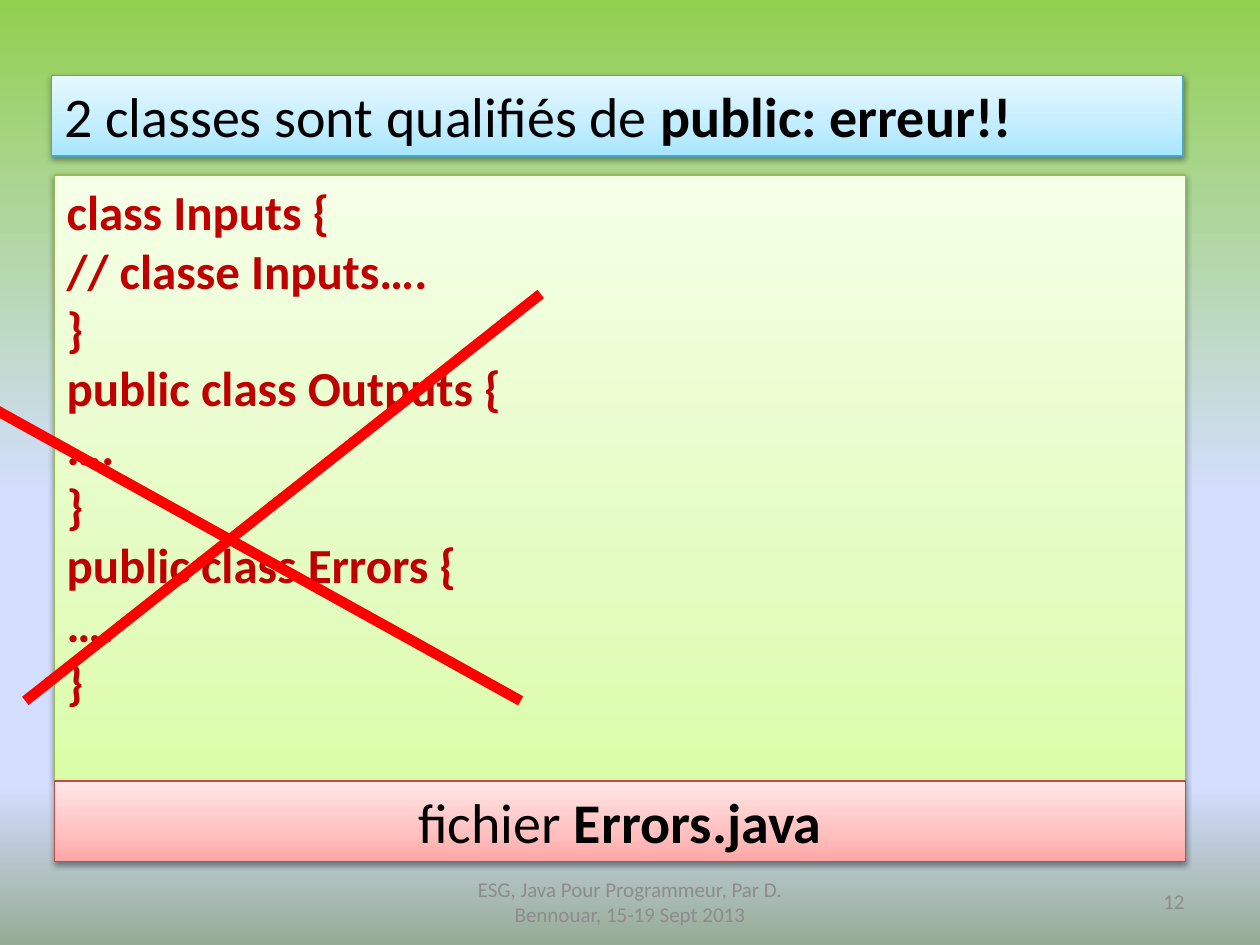
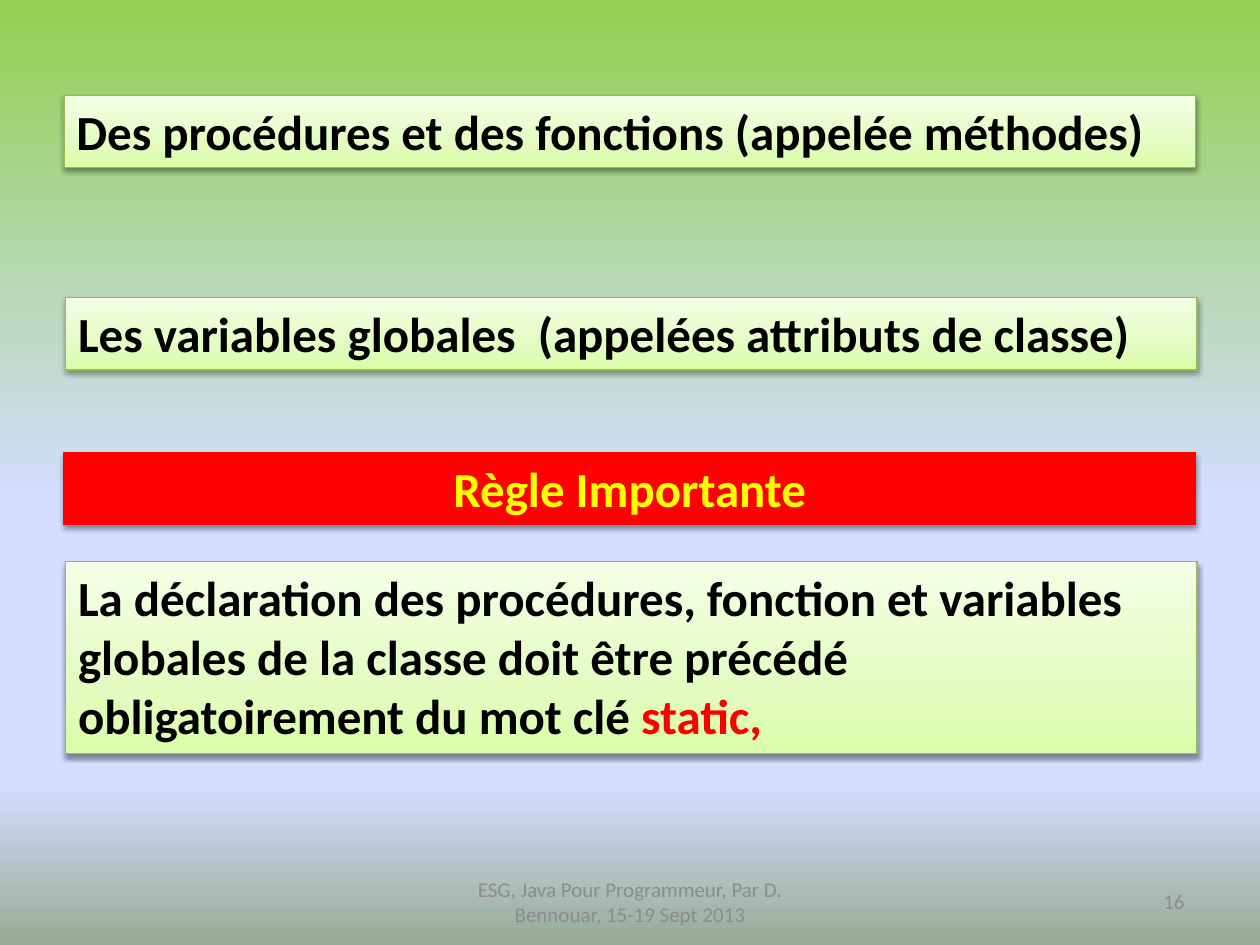
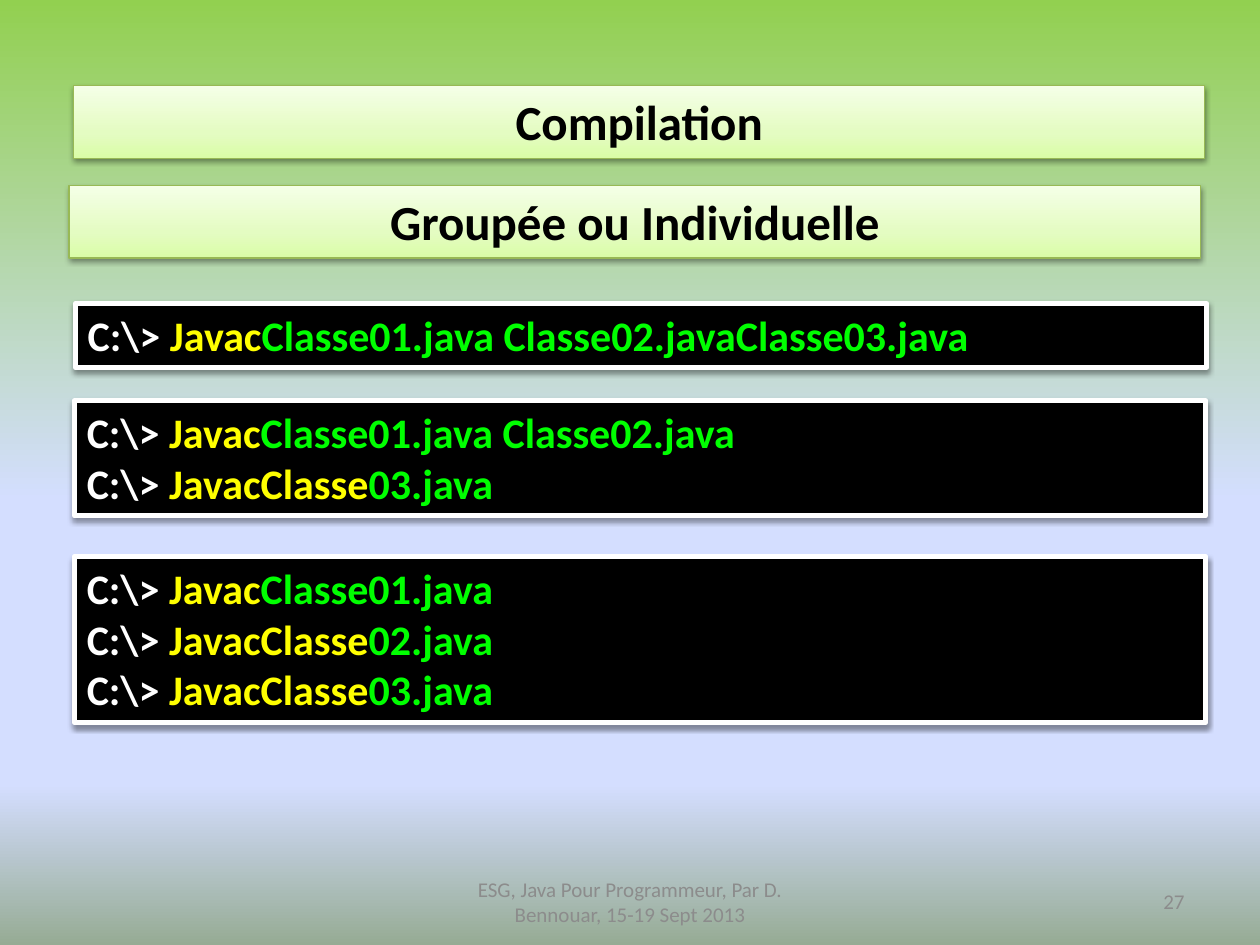
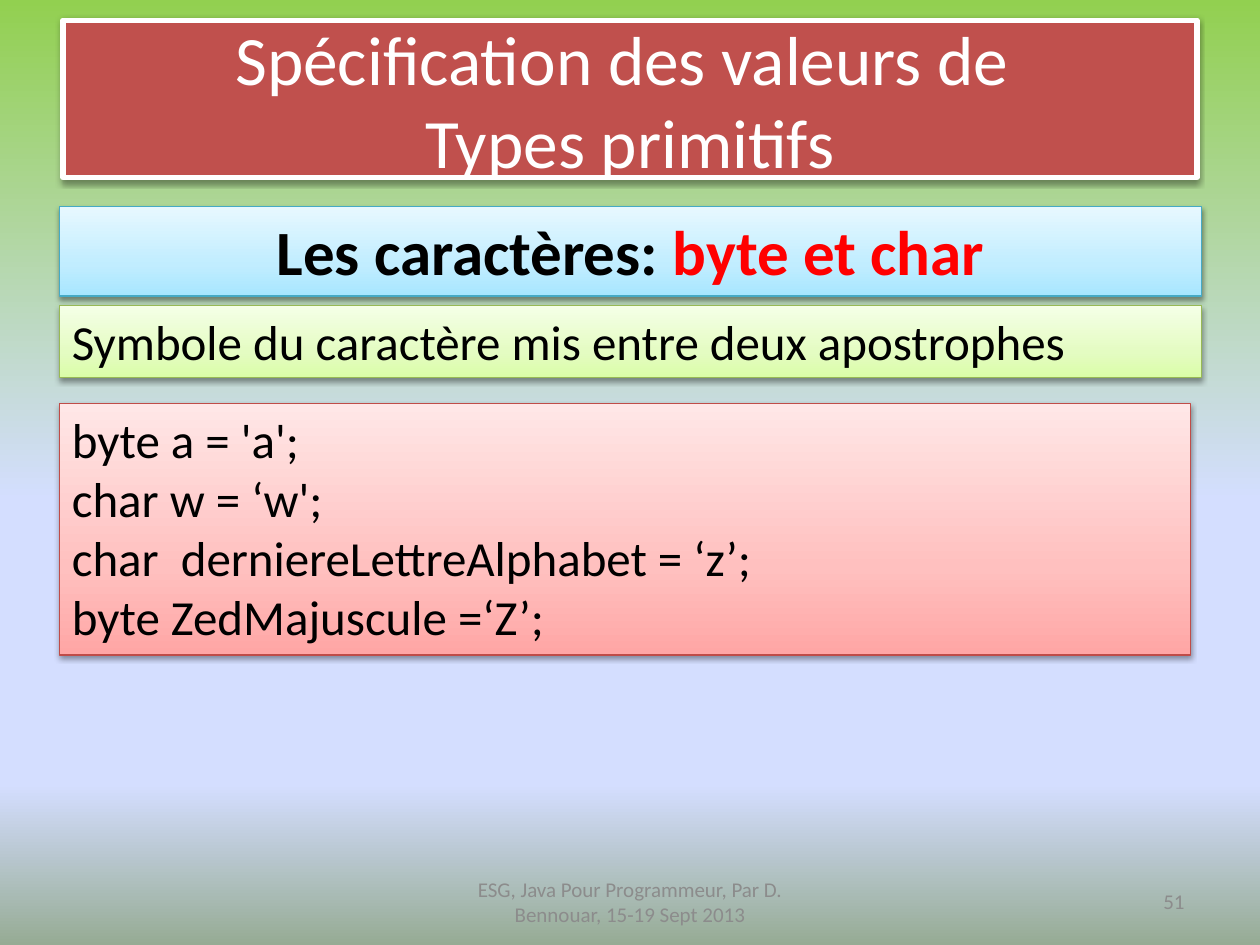
import collections

import lxml.etree
import pptx
import pptx.dml.color
import pptx.enum.shapes
import pptx.enum.text
import pptx.oxml.ns
import pptx.util

Pt = pptx.util.Pt
ALIGN = pptx.enum.text.PP_ALIGN
ANCHOR = pptx.enum.text.MSO_ANCHOR
qn = pptx.oxml.ns.qn

FONT = "Calibri"
BLACK, WHITE, GREY = "000000", "FFFFFF", "8C8C8C"
RED, DARK_RED, YELLOW, LIME = "FF0000", "C00000", "FFFF00", "00FF00"
BACKGROUND = [(0, "92D050"), (53, "D4DEFF"), (83, "D4DEFF"), (100, "96AB94")]
FOOTER = "ESG, Java Pour Programmeur, Par D. Bennouar, 15-19 Sept 2013"
PANEL_WIDTH = 646.5
LINE_BREAK = "\v"

Style = collections.namedtuple("Style", "fill line line_width")
GREEN = Style([(0, "DAFDA7"), (35, "E4FCC2"), (100, "F5FFE7")], "98B955", 0.75)
PINK = Style([(0, "FFA6A5"), (35, "FFC0BF"), (100, "FFE7E7")], "BF4C48", 0.75)
BLUE = Style([(0, "A7E6FF"), (35, "C1EDFF"), (100, "E7F8FF")], "46AAC5", 0.75)
ALERT = Style(RED, RED, 0.75)
CONSOLE = Style(BLACK, WHITE, 3)
TITLE = Style("C0504D", WHITE, 3)

Segment = collections.namedtuple("Segment", "text color bold", defaults=(BLACK, False))


class Box(collections.namedtuple("Box", "left top width height")):
    """A rectangle in points."""

    def inside(self, left, top, width, height):
        """Return a box placed relative to this one."""
        return Box(self.left + left, self.top + top, width, height)

    def lengths(self):
        """Return the four lengths for python-pptx."""
        return [Pt(value) for value in self]


def color(hex_string):
    """Turn a hex string into a colour."""
    return pptx.dml.color.RGBColor.from_string(hex_string)


def add_element(parent, tag, **attributes):
    """Append an XML element and return it."""
    values = {name: str(value) for name, value in attributes.items()}
    return lxml.etree.SubElement(parent, qn(tag), values)


def paint_gradient(fill, element, stops, angle):
    """Fill an element with a linear gradient of any number of stops."""
    fill.gradient()
    fill.gradient_angle = angle
    stop_list = next(element.iter(qn("a:gsLst")))
    for stop in list(stop_list):
        stop_list.remove(stop)
    for percent, hex_string in stops:
        stop = add_element(stop_list, "a:gs", pos=percent * 1000)
        add_element(stop, "a:srgbClr", val=hex_string)


def add_shadow(shape):
    """Give a shape the soft shadow that falls below it."""
    shape.shadow.inherit = False
    effects = shape._element.spPr.find(qn("a:effectLst"))
    shadow = add_element(effects, "a:outerShdw", blurRad=Pt(3.1), dist=Pt(1.6),
                         dir=5400000, rotWithShape=0)
    shade = add_element(shadow, "a:srgbClr", val=BLACK)
    add_element(shade, "a:alpha", val=38000)


def write(text_frame, lines, size, align, anchor):
    """Write lines of segments into a text frame."""
    text_frame.word_wrap = True
    text_frame.vertical_anchor = anchor
    for index, line in enumerate(lines):
        paragraph = text_frame.paragraphs[0] if index == 0 else text_frame.add_paragraph()
        paragraph.alignment = align
        for segment in line:
            if segment.text == LINE_BREAK:
                paragraph.add_line_break()
                continue
            run = paragraph.add_run()
            run.text = segment.text
            run.font.name = FONT
            run.font.size = Pt(size)
            run.font.bold = segment.bold
            run.font.color.rgb = color(segment.color)


def text_height(size, line_count):
    """Return the height of a panel that fits its lines."""
    return round(7.2 + 1.22 * size * line_count, 1)


def add_panel(shapes, box, style, lines, size=28, align=ALIGN.LEFT, anchor=ANCHOR.TOP):
    """Draw a shadowed rectangle with text."""
    shape = shapes.add_shape(pptx.enum.shapes.MSO_SHAPE.RECTANGLE, *box.lengths())
    if isinstance(style.fill, str):
        shape.fill.solid()
        shape.fill.fore_color.rgb = color(style.fill)
    else:
        paint_gradient(shape.fill, shape._element, style.fill, 90)
    shape.line.color.rgb = color(style.line)
    shape.line.width = Pt(style.line_width)
    add_shadow(shape)
    write(shape.text_frame, lines, size, align, anchor)


def add_footer(slide, box, number):
    """Write the footer and the slide number."""
    parts = [(FOOTER, box.inside(246, 0, 228, 29), ALIGN.CENTER),
             (str(number), box.inside(516, 0, 168, 29), ALIGN.RIGHT)]
    for text, place, align in parts:
        text_box = slide.shapes.add_textbox(*place.lengths())
        write(text_box.text_frame, [[Segment(text, GREY)]], 12, align, ANCHOR.MIDDLE)


def add_cross(slide, box):
    """Cross out the code with two thick lines."""
    group = slide.shapes.add_group_shape()
    for start_x, start_y, end_x, end_y in [(329, 0, 34.5, 232.5), (317.5, 232.5, 0, 56.5)]:
        line = group.shapes.add_connector(
            pptx.enum.shapes.MSO_CONNECTOR.STRAIGHT,
            Pt(box.left + start_x), Pt(box.top + start_y),
            Pt(box.left + end_x), Pt(box.top + end_y))
        line.line.color.rgb = color(RED)
        line.line.width = Pt(6)
        add_element(line._element.spPr, "a:effectLst")


def add_source_file(slide, box):
    """Draw the code panel with its file name below."""
    code = ["class Inputs {", "// classe Inputs….", "}",
            "public class Outputs {", "….", "}",
            "public class Errors {", "….", "}"]
    shapes = slide.shapes.add_group_shape().shapes
    name_height = text_height(32, 1)
    code_height = box.height - name_height
    add_panel(shapes, box.inside(0, 0, box.width, code_height), GREEN,
              [[Segment(line, DARK_RED, True)] for line in code])
    add_panel(shapes, box.inside(0, code_height, box.width, name_height), PINK,
              [[Segment("fichier "), Segment("Errors.java", bold=True)]], 32, ALIGN.CENTER)


def fill_public_error(slide, area):
    """Show the file with two public classes."""
    add_source_file(slide, area.inside(31, 100, PANEL_WIDTH, 392.5))
    add_panel(slide.shapes, area.inside(29.5, 43, PANEL_WIDTH, text_height(32, 1)), BLUE,
              [[Segment("2 classes sont qualifiés de "),
                Segment("public: erreur!!", bold=True)]], 32)
    add_cross(slide, area.inside(-20, 168, 329, 232.5))


def fill_static_rule(slide, area):
    """Show the members of a class and the static rule."""
    rule = ("La déclaration des procédures, fonction et variables globales de la classe "
            "doit être précédé obligatoirement du mot clé ")
    panels = [
        (36.5, 54.5, 1, GREEN, ALIGN.LEFT,
         [Segment("Des procédures et des fonctions (appelée méthodes)", bold=True)]),
        (37.5, 170, 1, GREEN, ALIGN.LEFT,
         [Segment("Les variables globales  (appelées attributs de classe)", bold=True)]),
        (36.5, 258.5, 1, ALERT, ALIGN.CENTER, [Segment("Règle Importante", YELLOW, True)]),
        (37.5, 321, 3, GREEN, ALIGN.LEFT,
         [Segment(rule, bold=True), Segment("static,", RED, True)]),
    ]
    for left, top, line_count, style, align, line in panels:
        box = area.inside(left, top, PANEL_WIDTH, text_height(28, line_count))
        add_panel(slide.shapes, box, style, [line], align=align)


def add_console(slide, box, commands):
    """Draw a console with one command a line."""
    lines = [[Segment("C:\\> ", WHITE, True), Segment(command, YELLOW, True),
              Segment(files, LIME, True)] for command, files in commands]
    add_panel(slide.shapes, box, CONSOLE, lines, 24)


def fill_compilation(slide, area):
    """Show the ways of compiling several classes."""
    for left, top, text in [(42, 49, "Compilation"), (39.5, 106, "Groupée ou Individuelle")]:
        add_panel(slide.shapes, area.inside(left, top, PANEL_WIDTH, text_height(28, 1)),
                  GREEN, [[Segment(text, bold=True)]], align=ALIGN.CENTER)
    consoles = [
        (43, 173.5, [("Javac", "Classe01.java Classe02.javaClasse03.java")]),
        (42.5, 229, [("Javac", "Classe01.java Classe02.java"), ("JavacClasse", "03.java")]),
        (42.5, 318, [("Javac", "Classe01.java"), ("JavacClasse", "02.java"),
                     ("JavacClasse", "03.java")]),
    ]
    for left, top, commands in consoles:
        height = text_height(24, len(commands))
        add_console(slide, area.inside(left, top, PANEL_WIDTH, height), commands)


def fill_characters(slide, area):
    """Show how character values are written."""
    code = ["byte a = 'a';", "char w = ‘w';",
            "char  derniereLettreAlphabet = ‘z’;", "byte ZedMajuscule =‘Z’;"]
    add_panel(slide.shapes, area.inside(36, 11.5, 648, 90), TITLE,
              [[Segment("Spécification des valeurs de ", WHITE), Segment(LINE_BREAK),
                Segment("Types primitifs", WHITE)]], 39.6, ALIGN.CENTER, ANCHOR.MIDDLE)
    add_panel(slide.shapes, area.inside(34, 118, 652.5, text_height(36, 1)), BLUE,
              [[Segment("Les caractères: ", bold=True),
                Segment("byte et char", RED, True)]], 36, ALIGN.CENTER)
    add_panel(slide.shapes, area.inside(34, 174.5, 652.5, text_height(28, 1)), GREEN,
              [[Segment("Symbole du caractère mis entre deux apostrophes")]])
    add_panel(slide.shapes, area.inside(34, 230.5, PANEL_WIDTH, text_height(28, len(code))),
              PINK, [[Segment(line)] for line in code])


def main():
    """Build the presentation."""
    presentation = pptx.Presentation()
    area = Box(0, 0, 720, 540)
    presentation.slide_width = Pt(area.width)
    presentation.slide_height = Pt(area.height)
    master = presentation.slide_master
    paint_gradient(master.background.fill, master.element, BACKGROUND, 270)
    pages = [(fill_public_error, 12), (fill_static_rule, 16),
             (fill_compilation, 27), (fill_characters, 51)]
    for fill_slide, number in pages:
        slide = presentation.slides.add_slide(presentation.slide_layouts[6])
        fill_slide(slide, area)
        add_footer(slide, area.inside(0, 500.5, area.width, 29), number)
    presentation.save("out.pptx")


if __name__ == "__main__":
    main()
